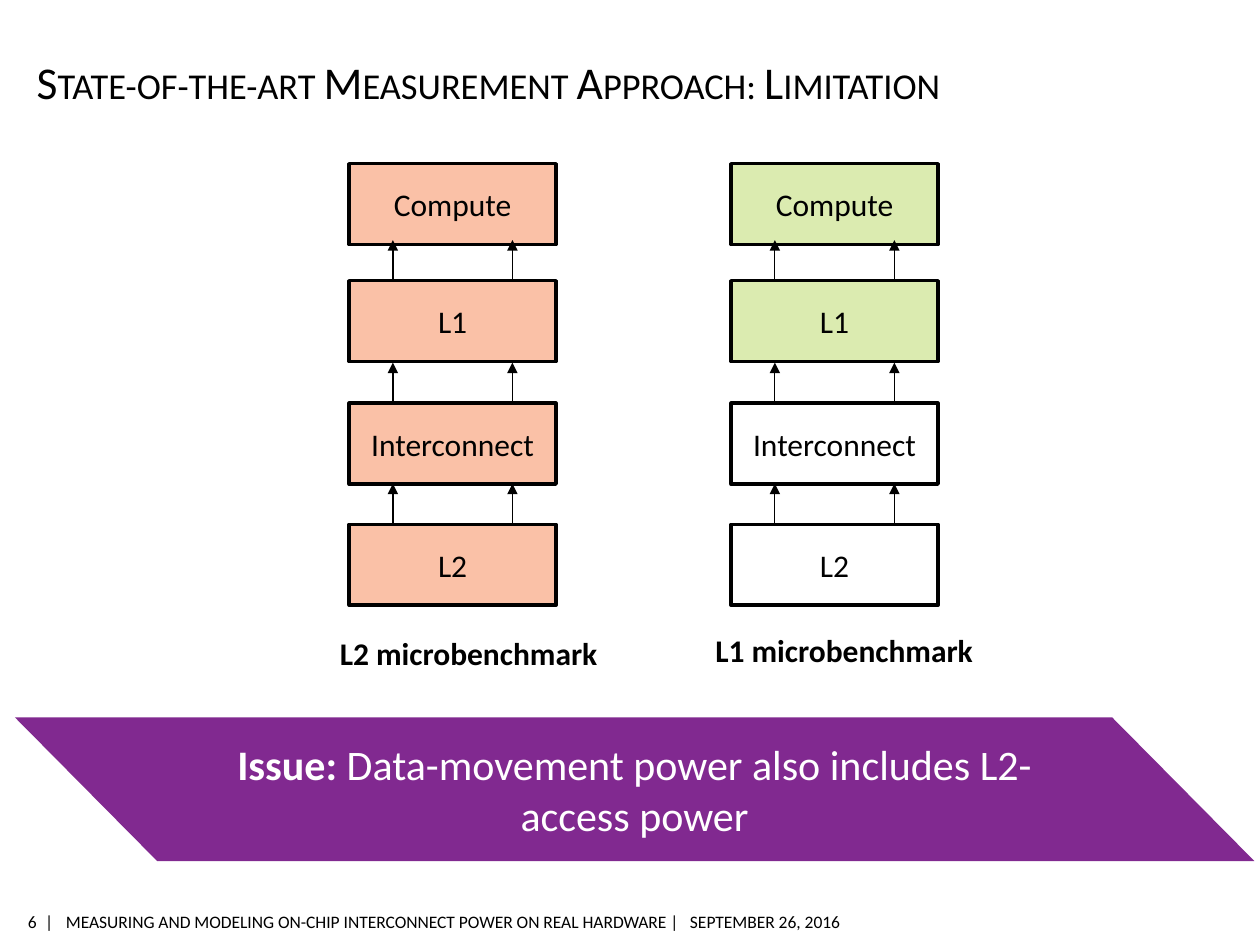
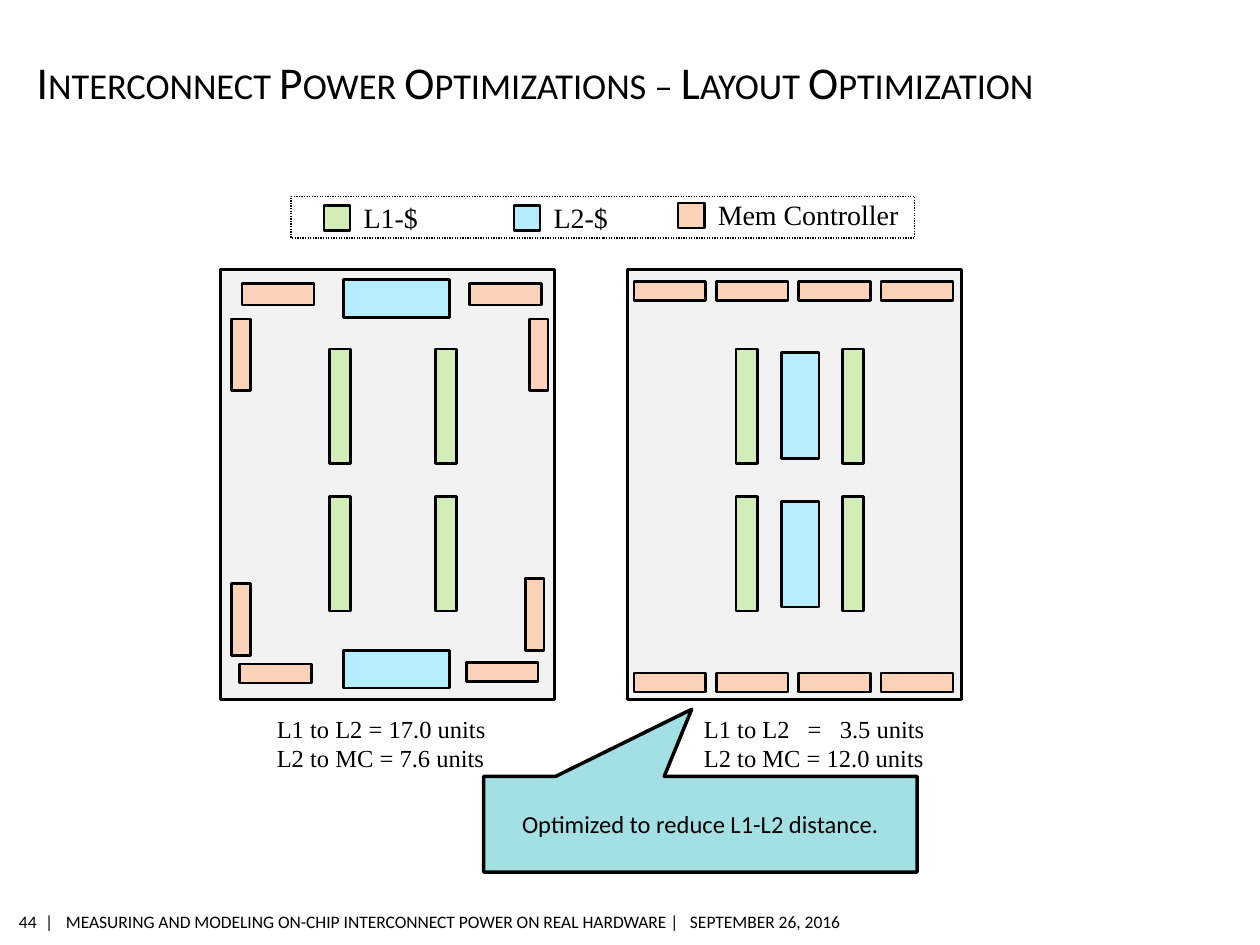
from lxml import etree
from pptx import Presentation
from pptx import util as u
from pptx.dml.color import RGBColor
from pptx.enum import dml, shapes, text
from pptx.oxml.ns import qn

BLACK = RGBColor(0x00, 0x00, 0x00)
WHITE = RGBColor(0xFF, 0xFF, 0xFF)
SALMON = RGBColor(0xFA, 0xC1, 0xA7)
LIME = RGBColor(0xDB, 0xEB, 0xB0)
PURPLE = RGBColor(0x81, 0x29, 0x90)
TEAL = RGBColor(0x00, 0xAA, 0xB5)
DIE_GREY = RGBColor(0xF2, 0xF2, 0xF2)
L1_GREEN = RGBColor(0xD2, 0xEC, 0xB7)
L2_BLUE = RGBColor(0xB5, 0xEC, 0xFF)
MC_PEACH = RGBColor(0xF9, 0xD2, 0xB7)

SANS, SERIF = "Calibri", "Times New Roman"
FOOTER = ("|\tMEASURING AND MODELING ON-CHIP INTERCONNECT POWER "
          "ON REAL HARDWARE |\tSEPTEMBER 26, 2016")
LAYERS = ["Compute", "L1", "Interconnect", "L2"]
LAYER_TOPS = [3.3, 5.66, 8.13, 10.57]
LAYER_WIDTH, LAYER_HEIGHT = 4.17, 1.63


def cm_box(*lengths):
    return [u.Cm(length) for length in lengths]


def add_tabs(paragraph, positions):
    tab_list = etree.SubElement(paragraph._p.get_or_add_pPr(), qn("a:tabLst"))
    for position in positions:
        etree.SubElement(tab_list, qn("a:tab"), pos=str(u.Cm(position)), algn="l")


def format_paragraph(paragraph, size, font=SANS, color=BLACK, bold=None,
                     align=text.PP_ALIGN.LEFT, after=None):
    paragraph.alignment = align
    if after is not None:
        paragraph.space_after = u.Pt(after)
    paragraph.font.size = u.Pt(size)
    paragraph.font.name = font
    paragraph.font.bold = bold
    paragraph.font.color.rgb = color


def add_text(slide, box, lines, size, tabs=(), wrap=True, **style):
    """Text box; tabs are stops for the lines that hold a tab."""
    shape = slide.shapes.add_textbox(*cm_box(*box))
    frame = shape.text_frame
    frame.word_wrap = wrap
    frame.auto_size = text.MSO_AUTO_SIZE.SHAPE_TO_FIT_TEXT
    frame.text = "\n".join(lines)
    for paragraph, line in zip(frame.paragraphs, lines):
        if "\t" in line:
            add_tabs(paragraph, tabs)
        format_paragraph(paragraph, size, **style)
    return shape


def add_block(slide, box, fill, line=1.5, label="", size=18,
              kind=shapes.MSO_SHAPE.RECTANGLE):
    """Preset shape; no fill or no line when that argument is None."""
    shape = slide.shapes.add_shape(kind, *cm_box(*box))
    shape.shadow.inherit = False
    if fill is None:
        shape.fill.background()
    else:
        shape.fill.solid()
        shape.fill.fore_color.rgb = fill
    if line is None:
        shape.line.fill.background()
    else:
        shape.line.color.rgb = BLACK
        shape.line.width = u.Pt(line)
    if label:
        shape.text_frame.vertical_anchor = text.MSO_ANCHOR.MIDDLE
        shape.text_frame.text = label
        format_paragraph(shape.text_frame.paragraphs[0], size,
                         align=text.PP_ALIGN.CENTER)
    return shape


def add_up_arrow(slide, x, bottom, length):
    arrow = slide.shapes.add_connector(
        shapes.MSO_CONNECTOR.STRAIGHT, *cm_box(x, bottom, x, bottom - length))
    arrow.line.color.rgb = BLACK
    arrow.line.width = u.Pt(0.75)
    etree.SubElement(arrow.line._get_or_add_ln(), qn("a:tailEnd"), type="triangle")
    etree.SubElement(arrow._element.spPr, qn("a:effectLst"))


def add_footer_text(slide, box, line, **style):
    frame = add_text(slide, box, [line], 10, wrap=False, **style).text_frame
    frame.vertical_anchor = text.MSO_ANCHOR.MIDDLE
    frame.margin_left = frame.margin_right = 0
    frame.margin_top = frame.margin_bottom = u.Cm(0.1)


def add_slide(presentation, title, number):
    """Title-only slide with the shared title style and footer."""
    slide = presentation.slides.add_slide(presentation.slide_layouts[5])
    shape = slide.shapes.title
    shape.left, shape.top, shape.width, shape.height = cm_box(0.74, 0.86, 20.83, 1.32)
    frame = shape.text_frame
    frame.text = title
    frame.word_wrap = True
    frame.auto_size = text.MSO_AUTO_SIZE.NONE
    frame.vertical_anchor = text.MSO_ANCHOR.BOTTOM
    frame.margin_left = frame.margin_right = frame.margin_bottom = 0
    frame.margin_top = u.Cm(0.13)
    format_paragraph(frame.paragraphs[0], 26)
    frame.paragraphs[0].runs[0]._r.get_or_add_rPr().set("cap", "small")

    add_footer_text(slide, (0.33, 18.24, 0.41, 0.66), str(number),
                    align=text.PP_ALIGN.RIGHT)
    add_footer_text(slide, (0.91, 18.24, 16.51, 0.66), FOOTER, tabs=(0.42, 13))
    return slide


def add_layer_stack(slide, left, fills):
    for layer, top, fill in zip(LAYERS, LAYER_TOPS, fills):
        add_block(slide, (left, top, LAYER_WIDTH, LAYER_HEIGHT), fill, 2, layer)
    for top in LAYER_TOPS[1:]:
        for offset in (0.88, 3.29):
            add_up_arrow(slide, left + offset, top, 0.82)


def build_limitation_slide(presentation):
    slide = add_slide(presentation,
                      "State-of-the-art Measurement Approach: Limitation", 6)
    add_layer_stack(slide, 7.04, [SALMON] * 4)
    add_layer_stack(slide, 14.74, [LIME] * 2 + [WHITE] * 2)
    for name, left, top in (("L2", 6.6, 12.65), ("L1", 14.17, 12.6)):
        add_text(slide, (left, top, 6.3, 1.02), [f"{name} microbenchmark"], 18,
                 bold=True, after=6)

    # Issue banner
    banner = add_block(slide, (0.3, 14.46, 24.99, 2.9), PURPLE, None,
                       kind=shapes.MSO_SHAPE.PARALLELOGRAM)
    banner.adjustments[0] = 0.99
    banner._element.spPr.find(qn("a:xfrm")).set("flipH", "1")
    banner.text_frame.vertical_anchor = text.MSO_ANCHOR.MIDDLE
    paragraph = banner.text_frame.paragraphs[0]
    format_paragraph(paragraph, 24, color=WHITE,
                     align=text.PP_ALIGN.CENTER, after=6)
    for words, bold in (("Issue: ", True),
                        ("Data-movement power also includes L2-access power", False)):
        run = paragraph.add_run()
        run.text = words
        run.font.bold = bold


def add_die(slide, left):
    """Chip outline with its two by two L1 caches."""
    add_block(slide, (left, 5.44, 6.73, 8.66), DIE_GREY)
    for offset in (2.19, 4.33):
        for top in (7.04, 10.01):
            add_block(slide, (left + offset, top, 0.43, 2.31), L1_GREEN)


def build_layout_slide(presentation):
    slide = add_slide(presentation,
                      "Interconnect Power Optimizations – Layout Optimization", 44)

    # Baseline die: L2 and memory controllers around the edge
    add_die(slide, 4.45)
    for top in (5.64, 13.11):
        add_block(slide, (6.93, top, 2.13, 0.76), L2_BLUE)
    for left, top, height in ((4.88, 5.72, 0.43), (9.47, 5.72, 0.43),
                              (4.83, 13.39, 0.38), (9.4, 13.36, 0.38)):
        add_block(slide, (left, top, 1.45, height), MC_PEACH)
    for left, top in ((4.67, 6.43), (4.67, 11.76), (10.67, 6.43), (10.59, 11.66)):
        add_block(slide, (left, top, 0.38, 1.45), MC_PEACH)

    # Optimized die: L2 between the L1 columns
    add_die(slide, 12.65)
    for top in (7.11, 10.11):
        add_block(slide, (15.75, top, 0.76, 2.13), L2_BLUE)
    for top in (5.68, 13.57):
        for column in range(4):
            add_block(slide, (12.78 + 1.66 * column, top, 1.45, 0.38), MC_PEACH)

    # Legend
    for label, left, top, width, fill in (("L1-$", 6.53, 4.14, 3.05, L1_GREEN),
                                          ("L2-$", 10.36, 4.14, 2.31, L2_BLUE),
                                          ("Mem Controller", 13.67, 4.09, 4.42, MC_PEACH)):
        add_block(slide, (left, top, 0.53, 0.51), fill)
        add_text(slide, (left + 0.55, top - 0.23, width, 0.94), [label], 16, font=SERIF)
    frame = add_block(slide, (5.87, 3.96, 12.57, 0.84), None, 0.75)
    frame.line.dash_style = dml.MSO_LINE.ROUND_DOT

    # Distances
    for left, lines in (
            (5.33, ["L1 to L2 = 17.0 units", "L2 to MC = 7.6 units"]),
            (13.94, ["L1 to L2\t=\t3.5 units", "L2 to MC = 12.0 units"])):
        add_text(slide, (left, 14.27, 5, 1.45), lines, 14, font=SERIF,
                 tabs=(2.09, 2.74))

    # Callout
    callout = add_block(slide, (9.75, 15.65, 8.74, 1.93), TEAL, 2,
                        "Optimized to reduce L1-L2 distance.", 14,
                        shapes.MSO_SHAPE.RECTANGULAR_CALLOUT)
    callout.adjustments[0], callout.adjustments[1] = -0.02, -1.2
    color = callout._element.spPr.find(qn("a:solidFill")).find(qn("a:srgbClr"))
    etree.SubElement(color, qn("a:alpha"), val="36000")


def main():
    presentation = Presentation()
    presentation.slide_width, presentation.slide_height = cm_box(25.4, 19.05)
    build_limitation_slide(presentation)
    build_layout_slide(presentation)
    presentation.save("out.pptx")


if __name__ == "__main__":
    main()
